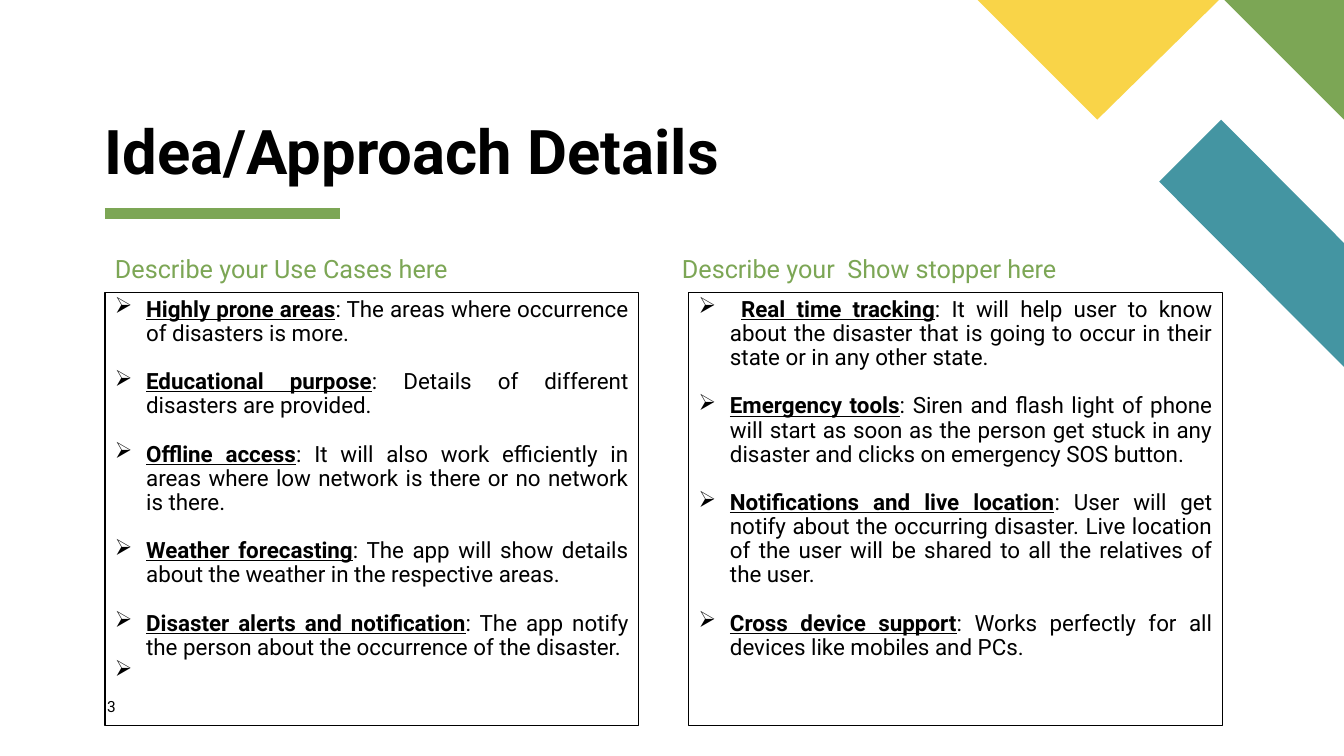
from lxml import etree
from pptx import Presentation
from pptx.dml.color import RGBColor
from pptx.enum.shapes import MSO_CONNECTOR, MSO_SHAPE
from pptx.enum.text import MSO_ANCHOR, PP_ALIGN
from pptx.oxml.ns import qn
from pptx.util import Emu, Inches, Pt

STRAIGHT = MSO_CONNECTOR.STRAIGHT
RECTANGLE = MSO_SHAPE.RECTANGLE
TOP, BOTTOM = MSO_ANCHOR.TOP, MSO_ANCHOR.BOTTOM
LEFT, JUSTIFY = PP_ALIGN.LEFT, PP_ALIGN.JUSTIFY

SLIDE_WIDTH, SLIDE_HEIGHT = Emu(12192000), Emu(6858000)
COLUMNS = 128
CELL = SLIDE_WIDTH // COLUMNS
FONT = "Roboto"
BULLET_FONT, BULLET_ARROW = "Wingdings", "Ø"
COLORS = {
    "text": "000000",
    "green": "7CA655",
    "teal": "4495A2",
    "yellow": "F9D448",
}

MARGIN = 10
HEADING_ROW, PANEL_ROW = 24, 27.9
PANEL_WIDTH, PANEL_HEIGHT = 50.8, 41.2
PADDING = (Inches(0.1), Inches(0.05))
BULLET_INDENT = Inches(0.31)
ITEM_GAP = Pt(17.2)

DECORATIONS = [
    ("teal", [(128, 34.95), (128, 23.15), (116.3, 11.4), (110.4, 17.3)]),
    ("green", [(128, 11.4), (128, 0), (116.6, 0)]),
    ("yellow", [(93.1, 0), (104.5, 11.4), (116.1, 0)]),
]

USE_CASES = [
    ("", "Highly prone areas", ": The areas where occurrence of disasters is more."),
    ("", "Educational purpose", ": Details of different disasters are provided."),
    ("", "Offline access", ": It will also work efficiently in areas where low "
     "network is there or no network is there."),
    ("", "Weather forecasting", ": The app will show details about the weather in "
     "the respective areas."),
    ("", "Disaster alerts and notification", ": The app notify the person about the "
     "occurrence of the disaster."),
    (" ", "", ""),
]

SHOW_STOPPERS = [
    (" ", "Real time tracking", ": It will help user to know about the disaster that "
     "is going to occur in their state or in any other state."),
    ("", "Emergency tools", ": Siren and flash light of phone will start as soon as "
     "the person get stuck in any disaster and clicks on emergency SOS button."),
    ("", "Notifications and live location", ": User will get notify about the "
     "occurring disaster. Live location of the user will be shared to all the "
     "relatives of the user."),
    ("", "Cross device support", ": Works perfectly for all devices like mobiles "
     "and PCs."),
]


def grid(*cells):
    return [Emu(round(cell * CELL)) for cell in cells]


def color(name):
    return RGBColor.from_string(COLORS[name])


def style_run(run, size, color_name="text", bold=False, underline=False):
    run.font.name = FONT
    run.font.size = Pt(size)
    run.font.color.rgb = color(color_name)
    run.font.bold = bold
    run.font.underline = underline


def prepare_frame(frame, padding, anchor=TOP):
    frame.word_wrap = True
    frame.vertical_anchor = anchor
    frame.margin_left = frame.margin_right = padding[0]
    frame.margin_top = frame.margin_bottom = padding[1]


def add_label(slide, text, box, size, color_name="text", bold=False,
              padding=(0, 0), anchor=TOP, line_spacing=0.9):
    frame = slide.shapes.add_textbox(*grid(*box)).text_frame
    prepare_frame(frame, padding, anchor)
    frame.text = text
    paragraph = frame.paragraphs[0]
    paragraph.alignment = LEFT
    paragraph.line_spacing = line_spacing
    style_run(paragraph.runs[0], size, color_name, bold)


def add_decoration(slide, color_name, corners):
    points = [grid(*corner) for corner in corners]
    builder = slide.shapes.build_freeform(*points[0])
    builder.add_line_segments(points[1:], close=True)
    decoration = builder.convert_to_shape()
    decoration.shadow.inherit = False
    decoration.fill.solid()
    decoration.fill.fore_color.rgb = color(color_name)
    decoration.line.fill.background()


def add_rule(slide, start, end, row):
    rule = slide.shapes.add_connector(STRAIGHT, *grid(start, row, end, row))
    rule.line.color.rgb = color("green")
    rule.line.width = Pt(8)
    etree.SubElement(rule._element.spPr, qn("a:effectLst"))


def add_bullet(paragraph):
    properties = paragraph._p.get_or_add_pPr()
    properties.set("marL", str(BULLET_INDENT))
    properties.set("indent", str(-BULLET_INDENT))
    bullet_color = etree.SubElement(properties, qn("a:buClr"))
    etree.SubElement(bullet_color, qn("a:srgbClr"), val=COLORS["text"])
    etree.SubElement(properties, qn("a:buFont"), typeface=BULLET_FONT, charset="2")
    etree.SubElement(properties, qn("a:buChar"), char=BULLET_ARROW)


def add_panel(slide, left, items):
    panel = slide.shapes.add_shape(
        RECTANGLE, *grid(left, PANEL_ROW, PANEL_WIDTH, PANEL_HEIGHT))
    panel.shadow.inherit = False
    panel.fill.background()
    panel.line.color.rgb = color("text")
    panel.line.width = Pt(0.75)
    frame = panel.text_frame
    prepare_frame(frame, PADDING)
    for index, (lead, term, detail) in enumerate(items):
        paragraph = frame.paragraphs[0] if index == 0 else frame.add_paragraph()
        paragraph.alignment = JUSTIFY
        paragraph.line_spacing = 0.9
        followed_by_item = index + 1 < len(items) and items[index + 1][1]
        paragraph.space_after = ITEM_GAP if followed_by_item else 0
        add_bullet(paragraph)
        for part in (lead, term, detail):
            if part:
                run = paragraph.add_run()
                run.text = part
                style_run(run, 16, bold=part == term, underline=part == term)


def main():
    presentation = Presentation()
    presentation.slide_width = SLIDE_WIDTH
    presentation.slide_height = SLIDE_HEIGHT
    slide = presentation.slides.add_slide(presentation.slide_layouts[6])

    add_rule(slide, MARGIN, 32.4, 20.35)
    for color_name, corners in DECORATIONS:
        add_decoration(slide, color_name, corners)
    add_label(slide, "Idea/Approach Details", (MARGIN, 11.5, 60.7, 6.4), 44,
              bold=True, anchor=BOTTOM)

    sections = [
        ("Describe your Use Cases here", MARGIN, MARGIN, USE_CASES),
        ("Describe your  Show stopper here", 64, 65.6, SHOW_STOPPERS),
    ]
    for heading, heading_left, panel_left, items in sections:
        add_label(slide, heading, (heading_left, HEADING_ROW, PANEL_WIDTH, 3.4), 18,
                  "green", padding=PADDING)
        add_panel(slide, panel_left, items)

    add_label(slide, "3", (10.2, 66.4, 5.5, 2.6), 11, line_spacing=1.0)
    presentation.save("out.pptx")


if __name__ == "__main__":
    main()
